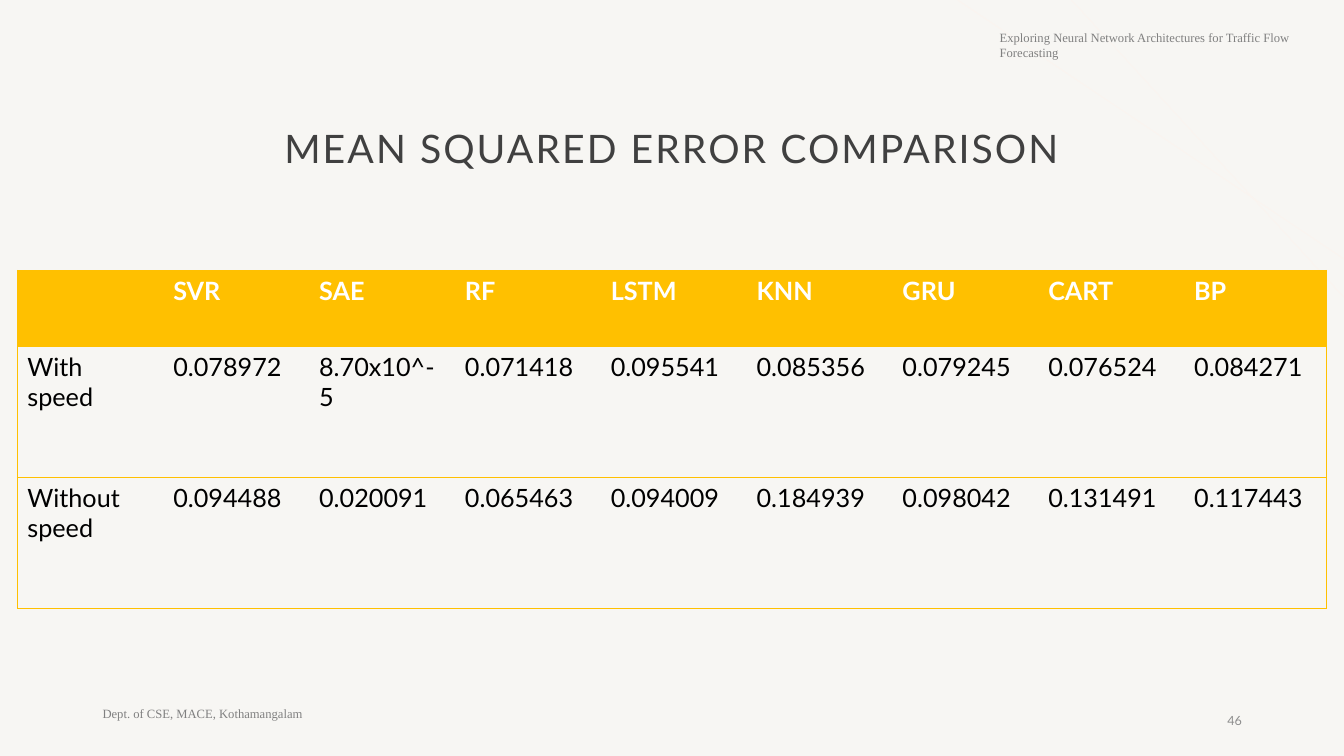
from lxml import etree
from pptx import Presentation
from pptx.dml.color import RGBColor
from pptx.enum.shapes import MSO_CONNECTOR
from pptx.enum.text import MSO_ANCHOR, PP_ALIGN
from pptx.oxml.ns import qn
from pptx.util import Pt

STRAIGHT = MSO_CONNECTOR.STRAIGHT
TOP, MIDDLE = MSO_ANCHOR.TOP, MSO_ANCHOR.MIDDLE
LEFT, CENTER, RIGHT = PP_ALIGN.LEFT, PP_ALIGN.CENTER, PP_ALIGN.RIGHT

BACKGROUND = RGBColor(0xF7, 0xF6, 0xF3)
CREAM = RGBColor(0xFB, 0xF4, 0xEF)
AMBER = RGBColor(0xFF, 0xC0, 0x00)
WHITE = RGBColor(0xFF, 0xFF, 0xFF)
BLACK = RGBColor(0x00, 0x00, 0x00)
CHARCOAL = RGBColor(0x40, 0x40, 0x40)
GRAY = RGBColor(0x80, 0x80, 0x80)
LIGHT_GRAY = RGBColor(0x8C, 0x8C, 0x8C)
SANS, SERIF = "Lato", "Times New Roman"

WIDTH, HEIGHT = 960, 540
DECOR_LINES = [(684, 0, WIDTH, 185), (765.4, 0, WIDTH, 212.4)]
TEXTS = [
    ("Dept. of CSE, MACE, Kothamangalam",
     (66.2, 500.4, 216, 18), SERIF, 9, GRAY, LEFT, TOP),
    ("Exploring Neural Network Architectures for Traffic Flow Forecasting",
     (707, 18, 236.9, 28.8), SERIF, 9, GRAY, LEFT, TOP),
    ("46", (678.2, 500.4, 216, 28.8), SANS, 9, LIGHT_GRAY, RIGHT, MIDDLE),
]
TITLE = ("MEAN SQUARED ERROR COMPARISON",
         (148.3, 55.4, 663.1, 104.4), SANS, 28, CHARCOAL, CENTER, MIDDLE)
ERRORS = [
    ("", "SVR", "SAE", "RF", "LSTM", "KNN", "GRU", "CART", "BP"),
    ("With speed", "0.078972", "8.70x10^-5", "0.071418", "0.095541",
     "0.085356", "0.079245", "0.076524", "0.084271"),
    ("Without speed", "0.094488", "0.020091", "0.065463", "0.094009",
     "0.184939", "0.098042", "0.131491", "0.117443"),
]
TABLE_LEFT, TABLE_TOP, TABLE_WIDTH = 12.4, 193, 935.2
COLUMN_WIDTH = 104.2
ROW_HEIGHTS = (54.4, 93.6, 93.6)
NO_STYLE = "{2D5ABB26-0587-4C30-8999-92F81FD0307C}"


def format_font(font, name, size, color, bold=False):
    font.name = name
    font.size = Pt(size)
    font.color.rgb = color
    font.bold = bold


def add_text(slide, text, box, name, size, color, align, anchor):
    shape = slide.shapes.add_textbox(*map(Pt, box))
    frame = shape.text_frame
    frame.word_wrap = True
    frame.vertical_anchor = anchor
    frame.text = text
    paragraph = frame.paragraphs[0]
    paragraph.alignment = align
    format_font(paragraph.runs[0].font, name, size, color)
    return paragraph


def add_decor_line(slide, ends):
    line = slide.shapes.add_connector(STRAIGHT, *map(Pt, ends))
    line.line.color.rgb = CREAM
    line.line.width = Pt(0.5)
    etree.SubElement(line._element.spPr, qn("a:effectLst"))


def add_borders(cell, sides):
    properties = cell._tc.get_or_add_tcPr()
    for side in sides:
        border = etree.SubElement(properties, qn("a:ln" + side), w=str(Pt(0.5)))
        fill = etree.SubElement(border, qn("a:solidFill"))
        etree.SubElement(fill, qn("a:srgbClr"), val=str(AMBER))


def add_error_table(slide):
    row_count, column_count = len(ERRORS), len(ERRORS[0])
    frame = slide.shapes.add_table(
        row_count, column_count, Pt(TABLE_LEFT), Pt(TABLE_TOP),
        Pt(TABLE_WIDTH), Pt(sum(ROW_HEIGHTS)))
    table = frame.table
    table.horz_banding = False
    table._tbl.tblPr.find(qn("a:tableStyleId")).text = NO_STYLE
    last = column_count - 1
    for index, column in enumerate(table.columns):
        column.width = Pt(COLUMN_WIDTH if index < last
                          else TABLE_WIDTH - last * COLUMN_WIDTH)
    for row_index, values in enumerate(ERRORS):
        table.rows[row_index].height = Pt(ROW_HEIGHTS[row_index])
        header = row_index == 0
        for index, value in enumerate(values):
            cell = table.cell(row_index, index)
            sides = ["L"] * (index == 0) + ["R"] * (index == last) + ["T", "B"]
            add_borders(cell, sides)
            if header:
                cell.fill.solid()
                cell.fill.fore_color.rgb = AMBER
            else:
                cell.fill.background()
            cell.text = value
            for run in cell.text_frame.paragraphs[0].runs:
                format_font(run.font, SANS, 18, WHITE if header else BLACK, header)


def main():
    presentation = Presentation()
    presentation.slide_width, presentation.slide_height = Pt(WIDTH), Pt(HEIGHT)
    slide = presentation.slides.add_slide(presentation.slide_layouts[6])
    slide.background.fill.solid()
    slide.background.fill.fore_color.rgb = BACKGROUND
    for ends in DECOR_LINES:
        add_decor_line(slide, ends)
    for text in TEXTS:
        add_text(slide, *text)
    add_error_table(slide)
    title = add_text(slide, *TITLE)
    title.line_spacing = 0.9
    title.runs[0].font._element.set("spc", "150")
    presentation.save("out.pptx")


if __name__ == "__main__":
    main()
